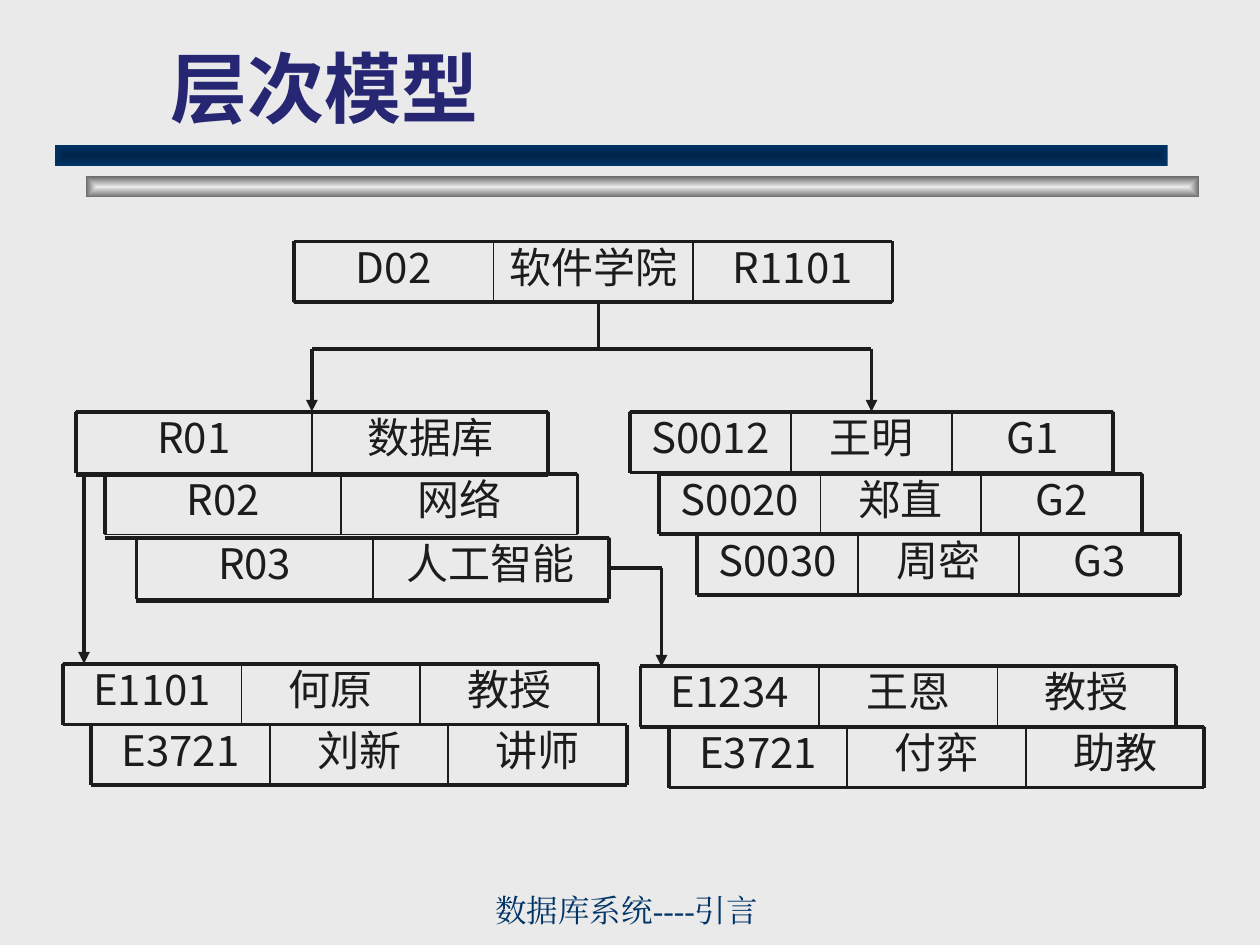
from typing import NamedTuple

from lxml.etree import SubElement
from pptx import Presentation
from pptx.dml.color import RGBColor
from pptx.enum.shapes import MSO_CONNECTOR, MSO_SHAPE
from pptx.enum.text import MSO_ANCHOR, MSO_AUTO_SIZE, PP_ALIGN
from pptx.oxml.ns import qn
from pptx.util import Emu, Pt

EMU_PER_PX = 7620  # 120 px to the inch

BACKGROUND = RGBColor(0xEA, 0xEA, 0xEA)
INK = RGBColor(0x1C, 0x1C, 0x1C)
TITLE_BLUE = RGBColor(0x26, 0x26, 0x73)
NAVY = RGBColor(0x00, 0x33, 0x66)
DARK_NAVY = RGBColor(0x00, 0x24, 0x49)
GREY = RGBColor(0x6C, 0x6C, 0x6C)

CELL_FONT = "Noto Sans CJK JP"
RECORD_HEIGHT = 58
THICK, THIN, HAIRLINE = 2.25, 1, 0.75


class Bar(NamedTuple):
    left: int
    top: int
    center: RGBColor
    edge: RGBColor


class Record(NamedTuple):
    left: int
    top: int
    width: int
    fields: tuple[str, ...]
    base_drop: int = 0  # how far the bottom rule sits below the cells


class Link(NamedTuple):
    start: tuple[int, int]
    end: tuple[int, int]
    arrow: bool = False
    from_field: str = ""
    to_field: str = ""


BARS = [Bar(82, 168, BACKGROUND, GREY), Bar(52, 138, DARK_NAVY, NAVY)]

RECORDS = [
    Record(280, 230, 570, ("D02", "软件学院", "R1101")),
    Record(72, 392, 450, ("R01", "数据库"), 2),
    Record(100, 451, 450, ("R02", "网络"), 3),
    Record(130, 512, 450, ("R03", "人工智能"), 2),
    Record(600, 392, 460, ("S0012", "王明", "G1")),
    Record(628, 451, 460, ("S0020", "郑直", "G2")),
    Record(664, 509, 460, ("S0030", "周密", "G3")),
    Record(60, 632, 510, ("E1101", "何原", "教授")),
    Record(87, 690, 510, ("E3721", "刘新", "讲师")),
    Record(610, 634, 510, ("E1234", "王恩", "教授")),
    Record(637, 692, 510, ("E3721", "付弈", "助教")),
]

LINKS = [
    Link((570, 289), (570, 332)),
    Link((297, 332), (830, 332)),
    Link((297, 332), (297, 392), arrow=True),
    Link((830, 332), (830, 392), arrow=True, to_field="王明"),
    Link((80, 454), (80, 632), arrow=True),
    Link((580, 541), (630, 541), from_field="人工智能"),
    Link((630, 541), (630, 635), arrow=True),
]


def px(length: float) -> Emu:
    return Emu(round(length * EMU_PER_PX))


def write(frame, text: str, font_name: str, size: int, color: RGBColor,
          align=PP_ALIGN.LEFT, bold: bool = False) -> None:
    frame.text = text
    paragraph = frame.paragraphs[0]
    paragraph.alignment = align
    font = paragraph.runs[0].font
    font.name, font.size, font.bold = font_name, Pt(size), bold
    font.color.rgb = color
    latin = paragraph.runs[0].font._element.find(qn("a:latin"))
    east_asian = latin.makeelement(qn("a:ea"), {"typeface": font_name})
    latin.addnext(east_asian)


def draw_bar(slide, bar: Bar) -> None:
    """Draw a bar whose gradient runs from its centre to its edges."""
    shape = slide.shapes.add_shape(MSO_SHAPE.RECTANGLE, px(bar.left), px(bar.top),
                                   px(1060), px(20))
    shape.shadow.inherit = False
    shape.line.fill.background()
    shape.fill.gradient()
    for stop, color in zip(shape.fill.gradient_stops, (bar.center, bar.edge)):
        stop.color.rgb = color
    gradient = shape._element.spPr.find(qn("a:gradFill"))
    gradient.remove(gradient.find(qn("a:lin")))
    path = SubElement(gradient, qn("a:path"), {"path": "shape"})
    SubElement(path, qn("a:fillToRect"), dict.fromkeys("ltrb", "50000"))


def draw_line(slide, start: tuple[float, float], end: tuple[float, float],
              weight: float, arrow: bool = False):
    line = slide.shapes.add_connector(MSO_CONNECTOR.STRAIGHT,
                                      *map(px, (*start, *end)))
    line.line.color.rgb = INK
    line.line.width = Pt(weight)
    properties = line._element.spPr
    if arrow:
        SubElement(properties.find(qn("a:ln")), qn("a:tailEnd"), {"type": "triangle"})
    SubElement(properties, qn("a:effectLst"))
    return line


def draw_record(slide, record: Record) -> dict:
    """Draw the cells and rules of a record; return its cells by text."""
    left, top, width, fields, base_drop = record
    right, bottom = left + width, top + RECORD_HEIGHT
    cell_width = width / len(fields)
    cells = {}
    for column, field in enumerate(fields):
        cell = slide.shapes.add_shape(MSO_SHAPE.RECTANGLE,
                                      px(left + column * cell_width), px(top),
                                      px(cell_width), px(RECORD_HEIGHT))
        cell.shadow.inherit = False
        cell.fill.background()
        cell.line.color.rgb = INK
        cell.line.width = Pt(HAIRLINE)
        frame = cell.text_frame
        frame.margin_left = frame.margin_right = 0
        frame.margin_top = frame.margin_bottom = 0
        frame.vertical_anchor = MSO_ANCHOR.TOP
        write(frame, field, CELL_FONT, 24, INK, PP_ALIGN.CENTER)
        cells[field] = cell
    for y in (top, bottom + base_drop):
        draw_line(slide, (left, y), (right, y), THICK)
    for column in range(len(fields) + 1):
        x = left + column * cell_width
        weight = THICK if column in (0, len(fields)) else THIN
        draw_line(slide, (x, top), (x, bottom), weight)
    return cells


def draw_link(slide, link: Link, cells: dict) -> None:
    line = draw_line(slide, link.start, link.end, THICK, link.arrow)
    if link.from_field:
        line.begin_connect(cells[link.from_field], 3)
    if link.to_field:
        line.end_connect(cells[link.to_field], 0)


def main() -> None:
    prs = Presentation()
    prs.slide_width, prs.slide_height = px(1200), px(900)
    slide = prs.slides.add_slide(prs.slide_layouts[5])
    slide.background.fill.solid()
    slide.background.fill.fore_color.rgb = BACKGROUND

    for bar in BARS:
        draw_bar(slide, bar)

    title = slide.shapes.title
    title.left, title.top, title.width, title.height = map(px, (150, 30, 1022, 103))
    title.text_frame.auto_size = MSO_AUTO_SIZE.NONE
    title.text_frame.vertical_anchor = MSO_ANCHOR.BOTTOM
    write(title.text_frame, "层次模型", "Roboto", 44, TITLE_BLUE, bold=True)

    footer = slide.shapes.add_textbox(*map(px, (460, 850, 490, 40))).text_frame
    footer.word_wrap = True
    footer.vertical_anchor = MSO_ANCHOR.BOTTOM
    write(footer, "数据库系统----引言", "Times New Roman", 18, NAVY)

    cells = {}
    for record in RECORDS:
        cells.update(draw_record(slide, record))
    for link in LINKS:
        draw_link(slide, link, cells)

    prs.save("out.pptx")


if __name__ == "__main__":
    main()
